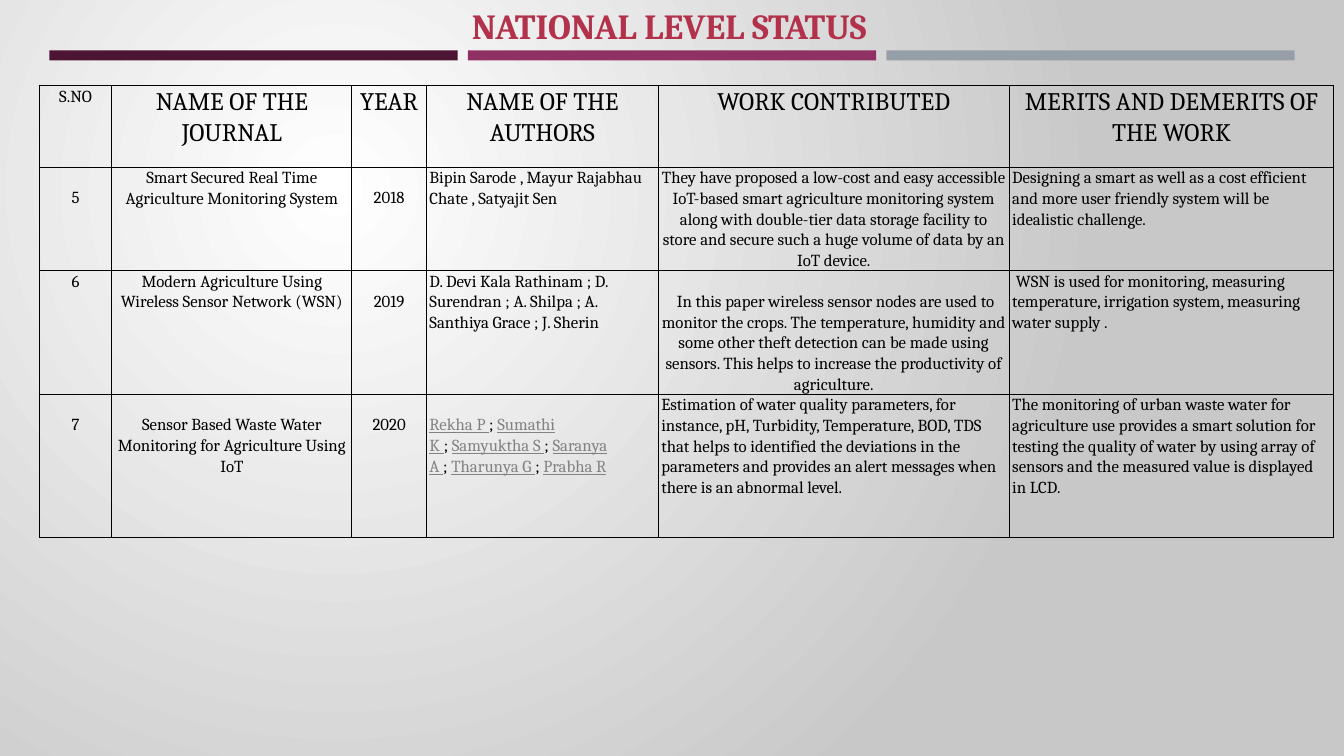
from lxml.etree import SubElement
from pptx import Presentation
from pptx.dml.color import RGBColor
from pptx.enum.shapes import MSO_SHAPE
from pptx.enum.text import MSO_ANCHOR, MSO_AUTO_SIZE, PP_ALIGN
from pptx.oxml.ns import qn
from pptx.util import Inches, Pt

FONT = "Cambria"
BLACK, LINK_GREY = "000000", "828282"
TITLE = "NATIONAL LEVEL STATUS"
BAR_COLORS = ["4D1434", "903163", "969FA7"]
HEADERS = ["S.NO", "NAME OF THE JOURNAL", "YEAR", "NAME OF THE AUTHORS",
           "WORK CONTRIBUTED", "MERITS AND DEMERITS OF THE WORK"]
PAPERS = [
    ["5", "Smart Secured Real Time Agriculture Monitoring System", "2018",
     "Bipin Sarode , Mayur Rajabhau Chate , Satyajit Sen",
     "They have proposed a low-cost and easy accessible IoT-based smart agriculture "
     "monitoring system along with double-tier data storage facility to store and "
     "secure such a huge volume of data by an IoT device.",
     "Designing a smart as well as a cost efficient and more user friendly system "
     "will be idealistic challenge."],
    ["6", "Modern Agriculture Using Wireless Sensor Network (WSN)", "2019",
     "D. Devi Kala Rathinam\u00a0;\u00a0D. Surendran\u00a0;\u00a0A. Shilpa\u00a0;\u00a0"
     "A. Santhiya Grace\u00a0;\u00a0J. Sherin",
     "\u00a0In this paper wireless sensor nodes are used to monitor the crops. The "
     "temperature, humidity and some other theft detection can be made using sensors. "
     "This helps to increase the productivity of agriculture.",
     "\u00a0WSN is used for monitoring, measuring temperature, irrigation system, "
     "measuring water supply ."],
    ["7", "Sensor Based Waste Water Monitoring for Agriculture Using IoT", "2020",
     ["Rekha P", "Sumathi K", "Samyuktha S", "Saranya A", "Tharunya G", "Prabha R"],
     "Estimation of water quality parameters, for instance, pH, Turbidity, Temperature, "
     "BOD, TDS that helps to identified the deviations in the parameters and provides "
     "an alert messages when there is an abnormal level.",
     "The monitoring of urban waste water for agriculture use provides a smart solution "
     "for testing the quality of water by using array of sensors and the measured value "
     "is displayed in LCD."],
]
COLUMN_WIDTHS = [0.72, 2.38, 0.74, 2.3, 3.48, 3.22]
ROW_HEIGHTS = [0.81, 1.02, 1.22, 1.42]
# (row, column) of the cells whose text starts one line lower
LOWERED_CELLS = {(1, 0), (1, 2), (2, 2), (2, 4), (3, 0), (3, 1), (3, 2), (3, 3)}
LINE_HEIGHT = 0.2


def color(value):
    """Turn a hex string into a colour."""
    return RGBColor.from_string(value)


def format_run(run, size, value=BLACK, bold=False, underline=False):
    """Set the font of one run."""
    font = run.font
    font.name, font.size, font.bold, font.underline = FONT, Pt(size), bold, underline
    font.color.rgb = color(value)


def paint_background(slide):
    """Fill the background with a circular white to grey gradient."""
    fill = slide.background.fill
    fill.gradient()
    for stop, position, value in zip(fill.gradient_stops, (0, 1), ("FFFFFF", "C8C8C8")):
        stop.position = position
        stop.color.rgb = color(value)
    linear = next(slide.element.iter(qn("a:lin")))
    gradient = linear.getparent()
    gradient.remove(linear)
    circle = SubElement(gradient, qn("a:path"), {"path": "circle"})
    SubElement(circle, qn("a:fillToRect"),
               {"l": "50000", "t": "50000", "r": "100000", "b": "100000"})


def add_bars(slide):
    """Draw the row of equal bars under the title."""
    width, gap = 4.05, 0.1
    for index, value in enumerate(BAR_COLORS):
        bar = slide.shapes.add_shape(
            MSO_SHAPE.RECTANGLE, Inches(0.49 + index * (width + gap)), Inches(0.5),
            Inches(width), Inches(0.1))
        bar.shadow.inherit = False
        bar.fill.solid()
        bar.fill.fore_color.rgb = color(value)
        bar.line.fill.background()


def set_title(slide):
    """Place and format the title placeholder."""
    title = slide.shapes.title
    title.left, title.top = Inches(4.58), Inches(0)
    title.width, title.height = Inches(4.38), Inches(0.51)
    frame = title.text_frame
    frame.text = TITLE
    frame.auto_size = MSO_AUTO_SIZE.NONE
    frame.vertical_anchor = MSO_ANCHOR.BOTTOM
    frame.paragraphs[0].alignment = PP_ALIGN.LEFT
    format_run(frame.paragraphs[0].runs[0], 25.2, "B2324B", bold=True)


def add_borders(cell):
    """Give a cell thin black lines on all four sides."""
    properties = cell._tc.get_or_add_tcPr()
    for index, side in enumerate(("a:lnL", "a:lnR", "a:lnT", "a:lnB")):
        line = properties.makeelement(qn(side), {"w": str(Pt(1))})
        fill = SubElement(line, qn("a:solidFill"))
        SubElement(fill, qn("a:srgbClr"), {"val": BLACK})
        properties.insert(index, line)


def fill_cell(cell, content, row, column):
    """Write and format one cell; a list becomes underlined names."""
    cell.fill.background()
    add_borders(cell)
    cell.margin_left = cell.margin_right = Inches(0.03)
    cell.margin_top = Inches(LINE_HEIGHT if (row, column) in LOWERED_CELLS else 0)
    cell.margin_bottom = 0
    cell.vertical_anchor = MSO_ANCHOR.TOP
    paragraph = cell.text_frame.paragraphs[0]
    paragraph.line_spacing = 1.07
    centered = row == 0 or column < 3 or (column == 4 and row < 3)
    paragraph.alignment = PP_ALIGN.CENTER if centered else PP_ALIGN.LEFT
    if isinstance(content, list):
        for index, name in enumerate(content):
            last = index == len(content) - 1
            run = paragraph.add_run()
            run.text = name if last else name + "\u00a0"
            format_run(run, 12, LINK_GREY, underline=True)
            if not last:
                separator = paragraph.add_run()
                separator.text = ";\u00a0"
                format_run(separator, 12)
    else:
        paragraph.text = content
        format_run(paragraph.runs[0], 18 if row == 0 and column > 0 else 12)


def add_papers_table(slide):
    """Build the table of papers."""
    rows = [HEADERS] + PAPERS
    table = slide.shapes.add_table(
        len(rows), len(HEADERS), Inches(0.39), Inches(0.85),
        Inches(sum(COLUMN_WIDTHS)), Inches(sum(ROW_HEIGHTS))).table
    table.first_row = table.horz_banding = False
    for column, width in zip(table.columns, COLUMN_WIDTHS):
        column.width = Inches(width)
    for row, height in zip(table.rows, ROW_HEIGHTS):
        row.height = Inches(height)
    for row, contents in enumerate(rows):
        for column, content in enumerate(contents):
            fill_cell(table.cell(row, column), content, row, column)


presentation = Presentation()
presentation.slide_width, presentation.slide_height = Inches(13.33), Inches(7.5)
slide = presentation.slides.add_slide(presentation.slide_layouts[5])
paint_background(slide)
add_bars(slide)
set_title(slide)
add_papers_table(slide)
presentation.save("out.pptx")
